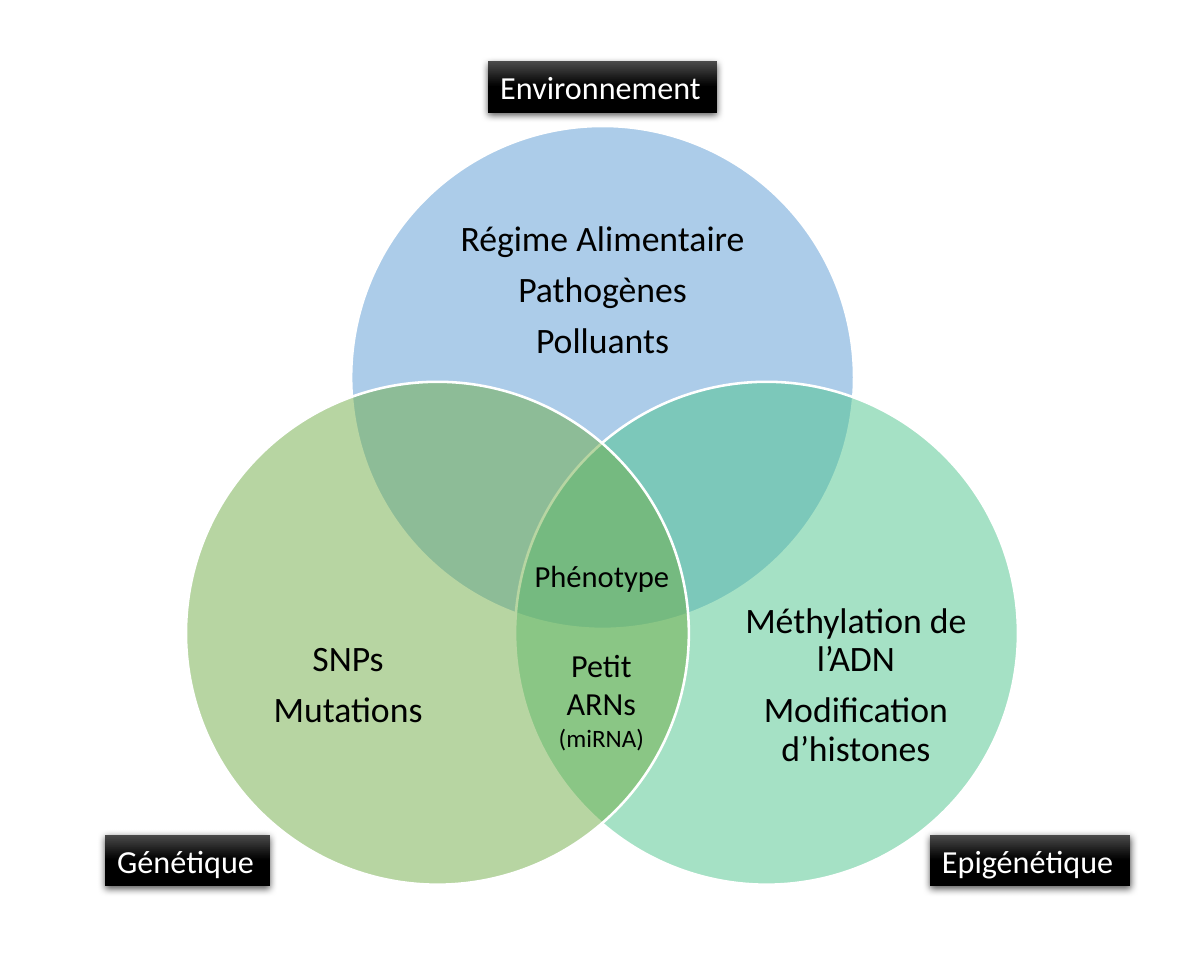
from lxml import etree
from pptx import Presentation
from pptx import util as u
from pptx.dml.color import RGBColor
from pptx.enum import shapes, text
from pptx.oxml import ns

COLORS = {
    "environment": "5B9BD5",
    "epigenetics": "4DC58D",
    "genetics": "70AD47",
    "sheen": "4B4B4B",
    "black": "000000",
    "white": "FFFFFF",
}
DIAMETER = 4.11
INSET = 0.59
LABEL_HEIGHT = 0.42


def rgb(name):
    return RGBColor.from_string(COLORS[name])


def write(frame, lines, size, color="black", align=text.PP_ALIGN.CENTER):
    frame.vertical_anchor = text.MSO_ANCHOR.MIDDLE
    frame.text = "\n".join(lines)
    for paragraph in frame.paragraphs:
        paragraph.alignment = align
        for run in paragraph.runs:
            run.font.name = "Calibri"
            run.font.size = u.Pt(size)
            run.font.color.rgb = rgb(color)


prs = Presentation()
prs.slide_width = u.Inches(9.84)
prs.slide_height = u.Inches(7.87)
slide = prs.slides.add_slide(prs.slide_layouts[6])

factors = [
    ("environment", (2.87, 1.03), (3.42, 1.75, 3.01, 1.85), (0, 0, 0, INSET),
     ["Régime Alimentaire", "Pathogènes", "Polluants"]),
    ("epigenetics", (4.21, 3.12), (5.47, 4.18, 2.46, 2.26), (INSET, INSET, 0, 0),
     ["Méthylation de l’ADN", "Modification d’histones"]),
    ("genetics", (1.52, 3.12), (1.91, 4.18, 2.46, 2.26), (0, INSET, INSET, 0),
     ["SNPs", "Mutations"]),
]
for factor, corner, area, insets, causes in factors:
    circle = slide.shapes.add_shape(
        shapes.MSO_SHAPE.OVAL, *map(u.Inches, (*corner, DIAMETER, DIAMETER)))
    circle.shadow.inherit = False
    circle.fill.solid()
    circle.fill.fore_color.rgb = rgb(factor)
    tint = circle._element.spPr.find(ns.qn("a:solidFill"))[0]
    etree.SubElement(tint, ns.qn("a:alpha"), val="50000")
    circle.line.color.rgb = rgb("white")
    circle.line.width = u.Pt(1.5)

    frame = slide.shapes.add_textbox(*map(u.Inches, area)).text_frame
    frame.word_wrap = True
    (frame.margin_left, frame.margin_top,
     frame.margin_right, frame.margin_bottom) = map(u.Inches, insets)
    write(frame, causes, 21)
    for paragraph in frame.paragraphs:
        paragraph.line_spacing = 0.9
        paragraph.space_after = u.Pt(7.35)

phenotype = slide.shapes.add_textbox(*map(u.Inches, (4.26, 4.49, 1.32, 0.42)))
phenotype.text_frame.word_wrap = False
write(phenotype.text_frame, ["Phénotype"], 18)

small_rnas = slide.shapes.add_textbox(*map(u.Inches, (4.27, 5.22, 1.29, 0.98)))
small_rnas.text_frame.word_wrap = True
small_rnas.text_frame.paragraphs[0].add_run()
write(small_rnas.text_frame, ["Petit ARNs "], 18.9)
mirna = small_rnas.text_frame.paragraphs[0].add_run()
mirna.text = "(miRNA)"
mirna.font.name = "Calibri"
mirna.font.size = u.Pt(14.7)
mirna.font.color.rgb = rgb("black")

domains = [
    ("Environnement", 3.99, 0.5, 1.87),
    ("Epigénétique", 7.6, 6.82, 1.64),
    ("Génétique", 0.86, 6.82, 1.35),
]
for domain, left, top, width in domains:
    label = slide.shapes.add_shape(
        shapes.MSO_SHAPE.RECTANGLE, *map(u.Inches, (left, top, width, LABEL_HEIGHT)))
    label.fill.gradient()
    label.fill.gradient_angle = 270
    for stop, color, position in zip(label.fill.gradient_stops, ("sheen", "black"), (0, 0.5)):
        stop.color.rgb = rgb(color)
        stop.position = position
    label.line.fill.background()
    label.shadow.inherit = False
    effects = label._element.spPr.find(ns.qn("a:effectLst"))
    shadow = etree.SubElement(
        effects, ns.qn("a:outerShdw"), blurRad=str(u.Pt(4.5)), dist=str(u.Pt(1.5)),
        dir="5400000", rotWithShape="0")
    shade = etree.SubElement(shadow, ns.qn("a:srgbClr"), val=COLORS["black"])
    etree.SubElement(shade, ns.qn("a:alpha"), val="63000")
    label.text_frame.word_wrap = False
    write(label.text_frame, [domain], 18.9, "white", text.PP_ALIGN.LEFT)

prs.save("out.pptx")
